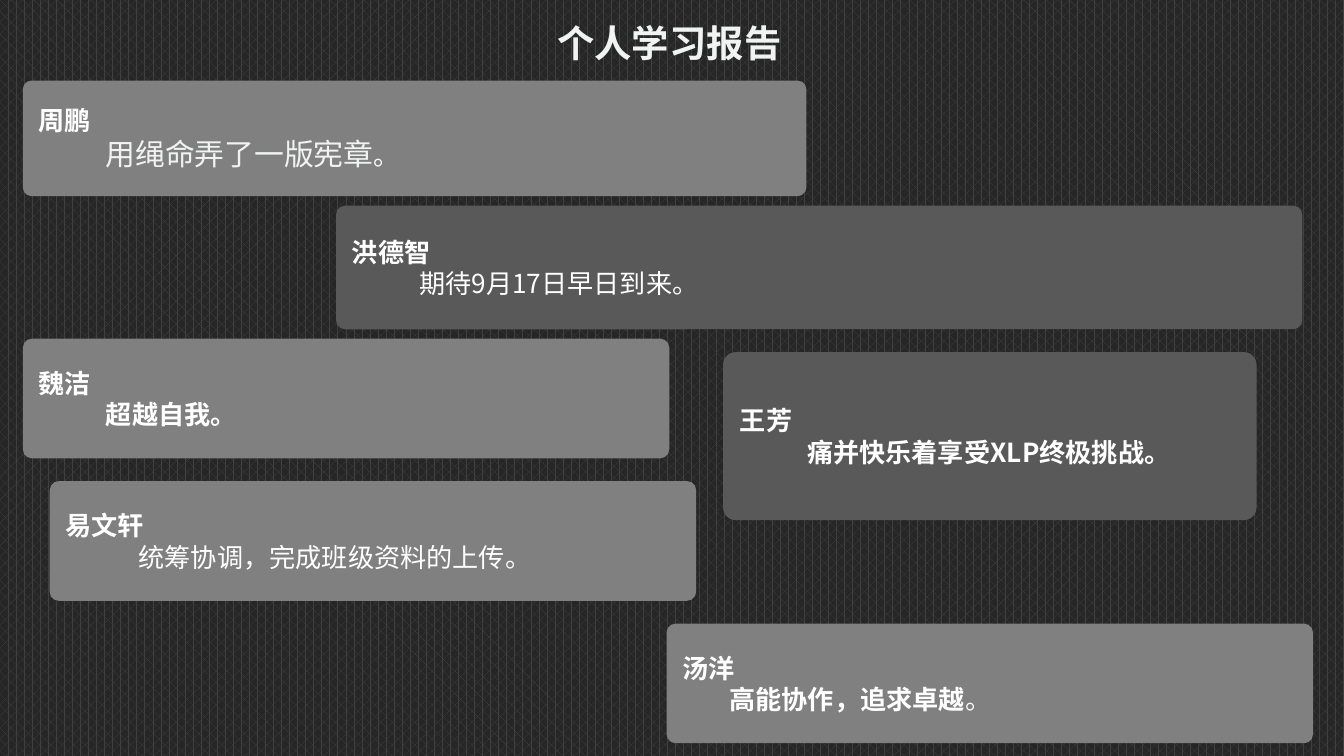
"""Build the slide of personal study reports, one rounded card per student."""
import pptx
import pptx.dml.color
import pptx.enum.dml
import pptx.enum.shapes
import pptx.enum.text
import pptx.oxml
import pptx.oxml.ns
import pptx.util

Inches = pptx.util.Inches
FONT = "Noto Sans CJK SC"
COLORS = {
    "backdrop": "262626",
    "weave": "404040",
    "light_card": "808080",
    "dark_card": "595959",
    "text": "FFFFFF",
    "soft_text": "F1F3F2",
}
NAME = {"size": 14, "bold": True, "color": "text"}
PLAIN = {**NAME, "bold": False}
SOFT = {"size": 16, "bold": False, "color": "soft_text"}
TITLE = {"size": 20, "bold": True, "color": "soft_text"}

REPORTS = [
    ("易文轩", [(" 统筹协调，完成班级资料的上传。", PLAIN)], 0.5,
     "light_card", (0.37, 3.58, 4.81, 0.89)),
    ("周鹏", [("用绳命弄了一版宪章", SOFT), ("。", PLAIN)], 0.5,
     "light_card", (0.17, 0.6, 5.83, 0.86)),
    ("洪德智", [("期待9月17日早日到来。", PLAIN)], 0.5,
     "dark_card", (2.5, 1.53, 7.19, 0.92)),
    ("魏洁", [("超越自我。", NAME)], 0.5,
     "light_card", (0.17, 2.52, 4.81, 0.89)),
    ("王芳", [("痛并快乐着享受XLP终极挑战。", NAME)], 0.5,
     "dark_card", (5.38, 2.62, 3.97, 1.25)),
    ("汤洋", [("高能协作，追求卓越", NAME), ("。", PLAIN)], 0.35,
     "light_card", (4.96, 4.64, 4.81, 0.89)),
]


def rgb(key):
    """Return the named colour."""
    return pptx.dml.color.RGBColor.from_string(COLORS[key])


def write(paragraph, text, style):
    """Add a run in the given style, for Latin and East Asian letters."""
    run = paragraph.add_run()
    run.text = text
    values = {"name": FONT, "size": pptx.util.Pt(style["size"]), "bold": style["bold"]}
    for attribute, value in values.items():
        setattr(run.font, attribute, value)
    run.font.color.rgb = rgb(style["color"])
    east_asian = pptx.oxml.parse_xml(
        f'<a:ea {pptx.oxml.ns.nsdecls("a")} typeface="{FONT}"/>')
    run.font._element.append(east_asian)


def prepare(frame):
    """Wrap and vertically centre the text of a frame."""
    values = {"word_wrap": True, "vertical_anchor": pptx.enum.text.MSO_ANCHOR.MIDDLE}
    for attribute, value in values.items():
        setattr(frame, attribute, value)


def add_title(slide, text, box):
    """Add the centred slide title."""
    frame = slide.shapes.add_textbox(*map(Inches, box)).text_frame
    prepare(frame)
    heading = frame.paragraphs[0]
    heading.alignment = pptx.enum.text.PP_ALIGN.CENTER
    write(heading, text, TITLE)


def add_report(slide, student, remark, indent, color, box):
    """Add a card with a student's name above an indented remark."""
    card = slide.shapes.add_shape(
        pptx.enum.shapes.MSO_SHAPE.ROUNDED_RECTANGLE, *map(Inches, box))
    card.adjustments[0] = 0.075
    card.shadow.inherit = False
    card.fill.solid()
    card.fill.fore_color.rgb = rgb(color)
    card.line.fill.background()
    frame = card.text_frame
    prepare(frame)
    name_line, remark_line = frame.paragraphs[0], frame.add_paragraph()
    for line in (name_line, remark_line):
        line.alignment = pptx.enum.text.PP_ALIGN.LEFT
    write(name_line, student, NAME)
    remark_line._p.get_or_add_pPr().set("indent", str(Inches(indent)))
    for text, style in remark:
        write(remark_line, text, style)


def paint_background(slide):
    """Give the slide its dark woven pattern."""
    fill = slide.background.fill
    fill.patterned()
    fill.pattern = pptx.enum.dml.MSO_PATTERN.PERCENT_60
    fill.fore_color.rgb = rgb("weave")
    fill.back_color.rgb = rgb("backdrop")


def main():
    """Build and save the slide."""
    deck = pptx.Presentation()
    deck.slide_width = Inches(10)
    deck.slide_height = Inches(10 * 9 / 16)
    slide = deck.slides.add_slide(deck.slide_layouts[6])
    paint_background(slide)
    for report in REPORTS:
        add_report(slide, *report)
    add_title(slide, "个人学习报告", (3.67, 0.05, 2.62, 0.53))
    deck.save("out.pptx")


if __name__ == "__main__":
    main()
